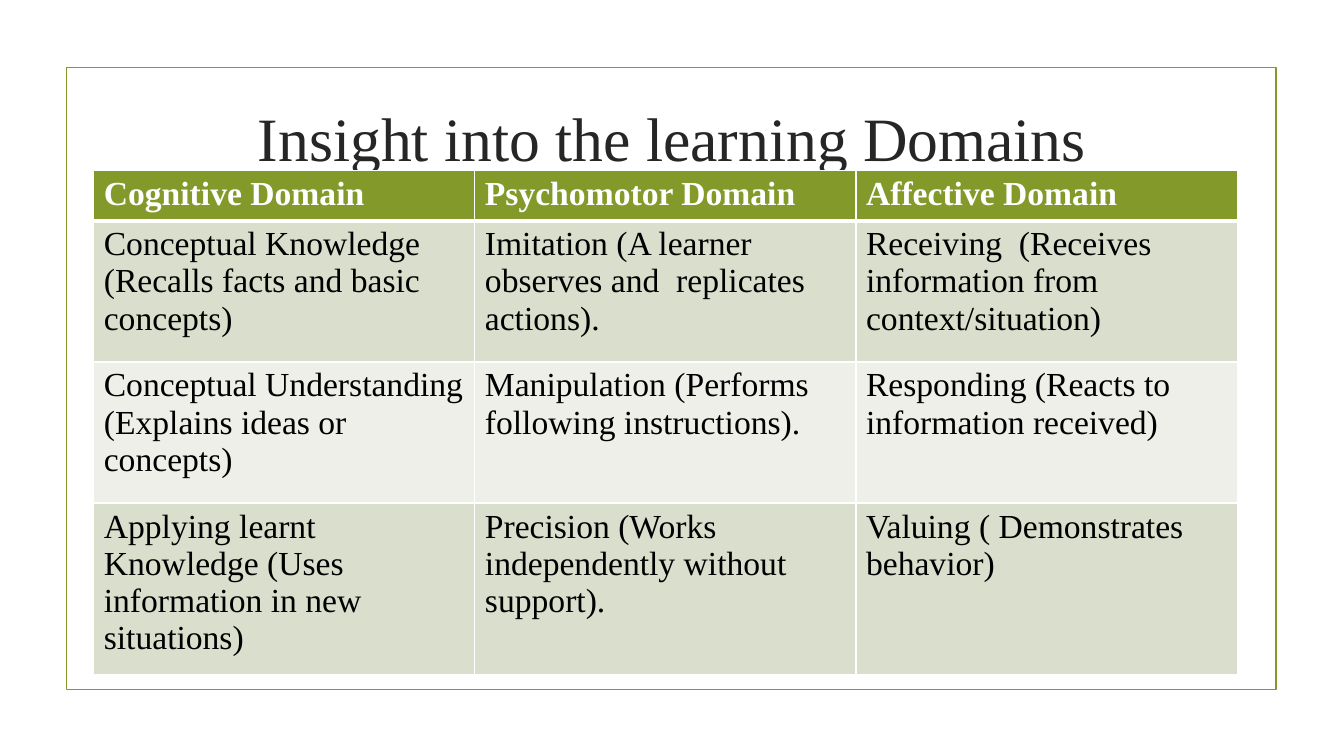
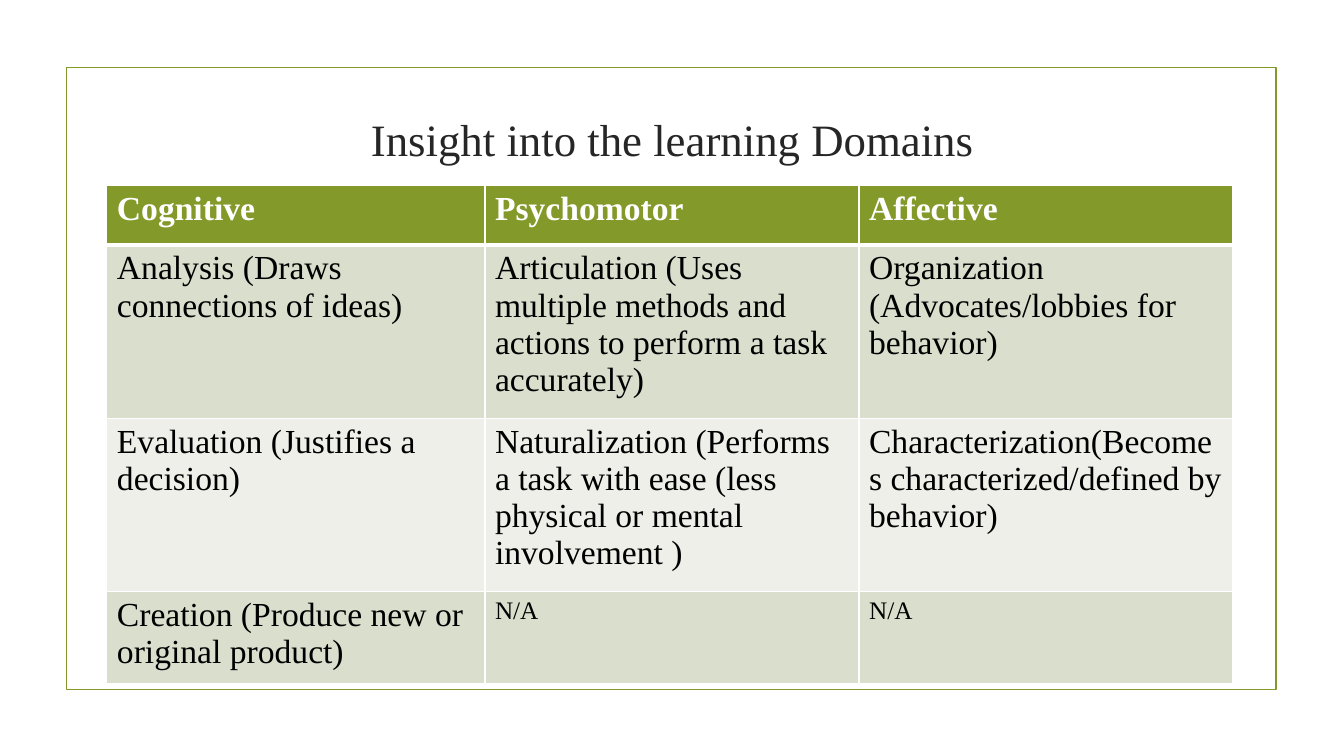
from lxml.etree import SubElement
from pptx import Presentation
from pptx.dml.color import RGBColor
from pptx.enum.shapes import MSO_SHAPE as SHAPE
from pptx.enum.text import MSO_ANCHOR as ANCHOR, PP_ALIGN as ALIGN
from pptx.oxml.ns import qn
from pptx.util import Pt

PX = 9144
FONT = "Times New Roman"
GREEN = RGBColor(0x83, 0x99, 0x2A)
SAGE = RGBColor(0xD9, 0xDE, 0xCD)
PALE = RGBColor(0xED, 0xEF, 0xE8)
WHITE = RGBColor(0xFF, 0xFF, 0xFF)
BLACK = RGBColor(0, 0, 0)
DARK = RGBColor(0x26, 0x26, 0x26)

TITLE = "Insight into the learning Domains"
FRAME = (66, 67, 1200, 617)
HEADER = {"size": Pt(24), "bold": True, "color": WHITE}
BODY = {"size": Pt(24), "bold": False, "color": BLACK}
SMALL = {**BODY, "size": Pt(18)}

SLIDES = [
    {
        "title_box": (142, 75, 1050, 121),
        "title_size": 44,
        "table_at": (93, 169),
        "cols": (378, 378, 378),
        "rows": (50, 140, 140, 170),
        "cells": [
            ("Cognitive Domain", "Psychomotor Domain", "Affective Domain"),
            ("Conceptual Knowledge (Recalls facts and basic concepts)",
             "Imitation (A learner observes and  replicates actions).",
             "Receiving  (Receives information from context/situation)"),
            ("Conceptual Understanding (Explains ideas or concepts)",
             "Manipulation (Performs following instructions).",
             "Responding (Reacts to information received)"),
            ("Applying learnt Knowledge (Uses information in new situations)",
             "Precision (Works independently without support).",
             "Valuing ( Demonstrates behavior)"),
        ],
    },
    {
        "title_box": (142, 110, 1050, 54),
        "title_size": 32,
        "table_at": (106, 184),
        "cols": (375, 371, 371),
        "rows": (59, 172, 172, 91),
        "cells": [
            ("Cognitive", "Psychomotor", "Affective"),
            ("Analysis (Draws connections of ideas)",
             "Articulation (Uses multiple methods and actions to perform a task accurately)",
             "Organization (Advocates/lobbies for behavior)"),
            ("Evaluation (Justifies a decision)",
             "Naturalization (Performs a task with ease (less physical or mental involvement )",
             "Characterization(Becomes characterized/defined by behavior)"),
            ("Creation (Produce new or original product)", "N/A", "N/A"),
        ],
    },
]


def emu(*lengths):
    return [n * PX for n in lengths]


def write(tf, text, style):
    r = tf.paragraphs[0].add_run()
    r.text = text
    r.font.name = FONT
    for name, value in style.items():
        if name == "color":
            r.font.color.rgb = value
        else:
            setattr(r.font, name, value)


def add_frame(s):
    sp = s.shapes.add_shape(SHAPE.RECTANGLE, *emu(*FRAME))
    sp.shadow.inherit = False
    sp.fill.background()
    sp.line.color.rgb = GREEN
    sp.line.width = Pt(1.25)


def add_title(s, box, size):
    tf = s.shapes.add_textbox(*emu(*box)).text_frame
    tf.word_wrap = True
    tf.vertical_anchor = ANCHOR.MIDDLE
    tf.paragraphs[0].alignment = ALIGN.CENTER
    write(tf, TITLE, {"size": Pt(size), "color": DARK})


def set_borders(cell, widths):
    tcPr = cell._tc.get_or_add_tcPr()
    for i, (side, width) in enumerate(widths.items()):
        ln = SubElement(tcPr, qn("a:" + side), w=str(Pt(width)))
        fill = SubElement(ln, qn("a:solidFill"))
        SubElement(fill, qn("a:srgbClr"), val=str(WHITE))
        tcPr.insert(i, ln)


def add_grid(s, at, cols, rows, cells):
    table = s.shapes.add_table(
        len(rows), len(cols), *emu(*at, sum(cols), sum(rows))).table
    for col, width in zip(table.columns, cols):
        col.width = width * PX
    for i, (row, height) in enumerate(zip(table.rows, rows)):
        row.height = height * PX
        for cell, text in zip(row.cells, cells[i]):
            style = HEADER if i == 0 else SMALL if text == "N/A" else BODY
            write(cell.text_frame, text, style)
            cell.fill.solid()
            cell.fill.fore_color.rgb = GREEN if i == 0 else SAGE if i % 2 else PALE
            set_borders(cell, {"lnL": 1, "lnR": 1,
                               "lnT": 3 if i == 1 else 1,
                               "lnB": 3 if i == 0 else 1})


def main():
    prs = Presentation()
    prs.slide_width, prs.slide_height = emu(1333, 750)
    for data in SLIDES:
        s = prs.slides.add_slide(prs.slide_layouts[6])
        add_frame(s)
        add_title(s, data["title_box"], data["title_size"])
        add_grid(s, data["table_at"], data["cols"], data["rows"], data["cells"])
    prs.save("out.pptx")


if __name__ == "__main__":
    main()
